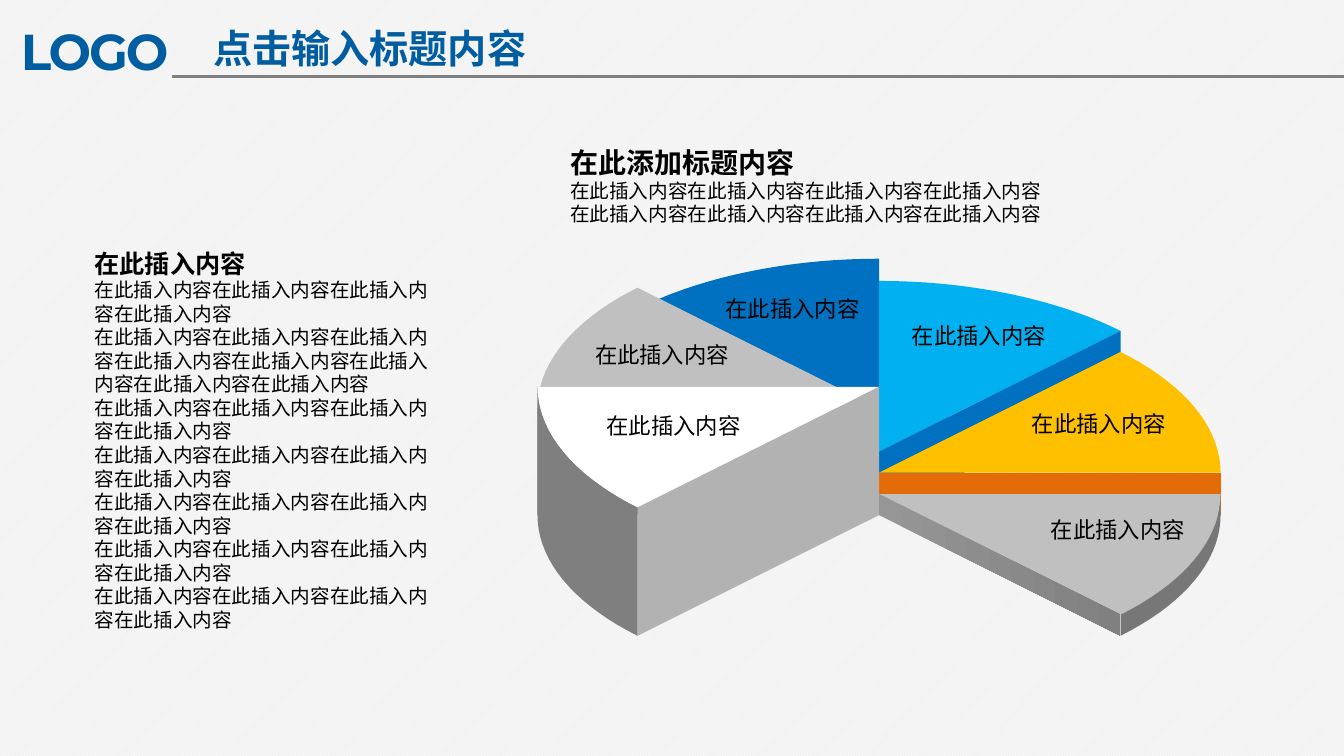
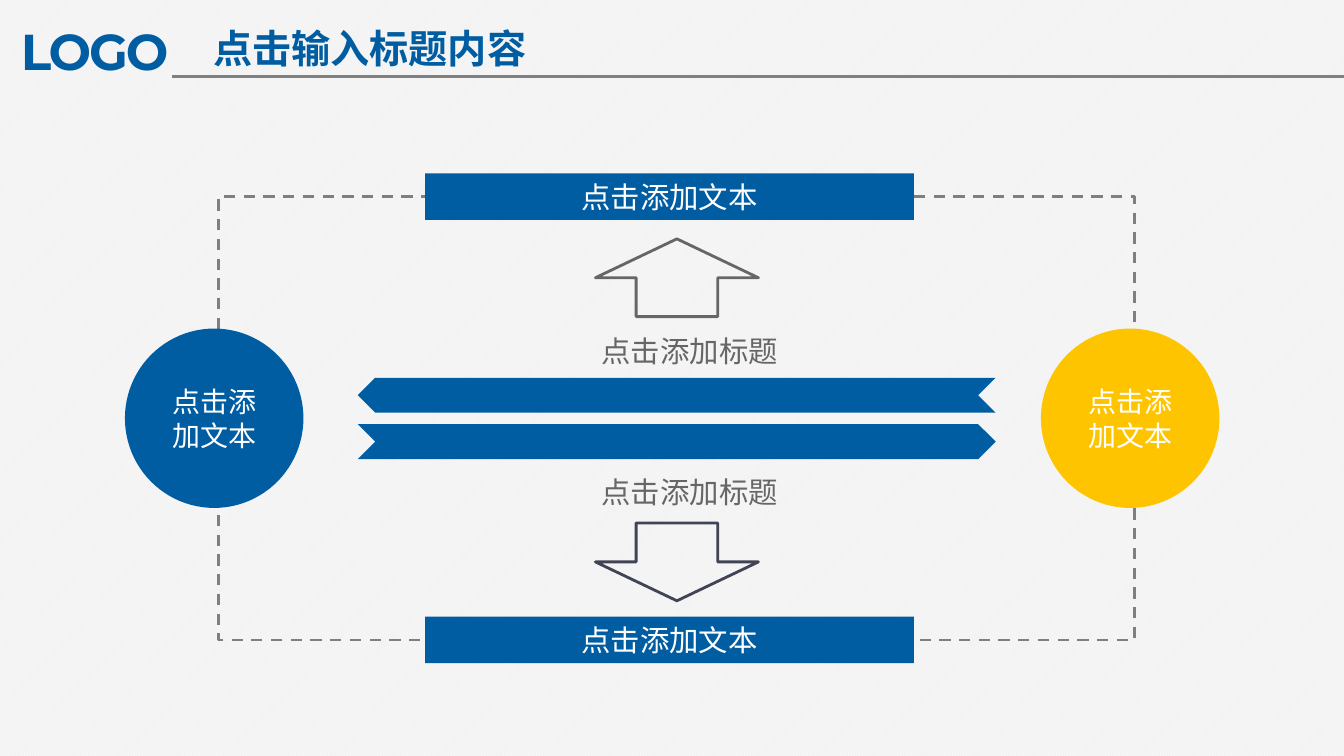
from math import cos, radians, sin

from lxml.etree import SubElement
from pptx import Presentation
from pptx.dml.color import RGBColor
from pptx.enum.dml import MSO_LINE, MSO_PATTERN
from pptx.enum.shapes import MSO_CONNECTOR, MSO_SHAPE
from pptx.enum.text import MSO_ANCHOR, MSO_AUTO_SIZE, PP_ALIGN
from pptx.oxml.ns import qn
from pptx.util import Cm, Pt

BLUE = RGBColor(0x00, 0x5D, 0xA2)
MID = RGBColor(0x00, 0x70, 0xC0)
SKY = RGBColor(0x00, 0xB0, 0xF0)
AMBER = RGBColor(0xFF, 0xC0, 0x00)
GOLD = RGBColor(0xFF, 0xC4, 0x00)
RUST = RGBColor(0xE3, 0x6C, 0x09)
INK = RGBColor(0x41, 0x44, 0x55)
BLACK = RGBColor(0x00, 0x00, 0x00)
WHITE = RGBColor(0xFF, 0xFF, 0xFF)
PAPER = RGBColor(0xF2, 0xF2, 0xF2)
MIST = RGBColor(0xDD, 0xDD, 0xDD)
SILVER = RGBColor(0xC0, 0xC0, 0xC0)
ASH = RGBColor(0xB2, 0xB2, 0xB2)
STEEL = RGBColor(0x96, 0x96, 0x96)
GREY = RGBColor(0x80, 0x80, 0x80)
STONE = RGBColor(0x7F, 0x7F, 0x7F)
SLATE = RGBColor(0x77, 0x77, 0x77)
SMOKE = RGBColor(0x66, 0x66, 0x66)

SANS = "Noto Sans CJK SC"
LATIN = "Montserrat"
LEADING = 1.2

TITLE = "点击输入标题内容"
ITEM = "在此插入内容"
LINE = ITEM * 4
HEAD = ["在此添加标题内容", LINE, LINE]
NOTES = [ITEM, LINE, ITEM * 8] + [LINE] * 5

# Pie: centre x, radii and floor in cm.
MID_X, RAD_X, RAD_Y, FLOOR = 22.16, 8.61, 4.3, 12.98
# Start angle, wall angle, top, face, rim, wall, label centre x, label top.
SLICES = [
    (90, 135, 10.82, MID, None, MIST, 19.98, 7.32),
    (45, 45, 11.38, SKY, None, MID, 24.68, 8),
    (135, 180, 10.29, SILVER, None, (STEEL, GREY), 16.69, 8.48),
    (0, 0, 11.91, AMBER, None, RUST, 27.7, 10.21),
    (180, 225, 9.75, WHITE, STONE, ASH, 16.98, 10.26),
    (315, 315, 12.45, SILVER, SLATE, (STEEL, GREY), 28.18, 12.88),
]

ADD = "点击添加文本"
NAME = "点击添加标题"
CIRCLES = [(3.15, BLUE), (26.24, GOLD)]
NAMES = [8.26, 11.81]
BARS = [4.37, 15.54]
ARROWS = [(MSO_SHAPE.UP_ARROW, 6.02, SMOKE), (MSO_SHAPE.DOWN_ARROW, 13.18, INK)]
RIBBONS = [(9.52, -1), (10.69, 1)]


def put(obj, **values):
    for key, value in values.items():
        setattr(obj, key, value)


def write(frame, lines, sizes, color, align=PP_ALIGN.CENTER, bold=False,
          face=SANS, anchor=MSO_ANCHOR.TOP):
    """Fill a frame; the first size is for the first line, the last for the rest."""
    put(frame, word_wrap=True, auto_size=MSO_AUTO_SIZE.NONE, vertical_anchor=anchor)
    for i, line in enumerate(lines):
        para = frame.paragraphs[0] if i == 0 else frame.add_paragraph()
        size = sizes[min(i, len(sizes) - 1)]
        put(para, alignment=align, space_before=Pt(0), line_spacing=Pt(size * LEADING))
        run = para.add_run()
        run.text = line
        put(run.font, size=Pt(size), bold=bold and i == 0, name=face)
        run.font.color.rgb = color
        SubElement(run._r.get_or_add_rPr(), qn("a:ea"), typeface=face)
    return frame


def label(slide, box, lines, sizes, color, **style):
    area = slide.shapes.add_textbox(*map(Cm, box))
    write(area.text_frame, lines, sizes, color, **style)
    return area


def paint(shape, fill=None, line=None):
    shape.shadow.inherit = False
    if fill is None:
        shape.fill.background()
    elif isinstance(fill, RGBColor):
        shape.fill.solid()
        shape.fill.fore_color.rgb = fill
    else:
        shape.fill.gradient()
        shape.fill.gradient_angle = 0
        for stop, color in zip(shape.fill.gradient_stops, fill):
            stop.color.rgb = color
    if line is None:
        shape.line.fill.background()
    else:
        shape.line.color.rgb = line
        shape.line.width = Pt(2)
    return shape


def draw(slide, kind, box, fill=None, line=None):
    return paint(slide.shapes.add_shape(kind, *map(Cm, box)), fill, line)


def trace(slide, points, fill):
    """Draw a closed outline through points in cm."""
    first, *rest = [(Cm(x), Cm(y)) for x, y in points]
    pen = slide.shapes.build_freeform(*first, scale=1.0)
    pen.add_line_segments(rest, close=True)
    return paint(pen.convert_to_shape(), fill)


def brand(master, slide):
    """Give the master its background, title place, logo text and rule."""
    back = master.background.fill
    back.patterned()
    back.pattern = MSO_PATTERN.LIGHT_UPWARD_DIAGONAL
    back.fore_color.rgb = WHITE
    back.back_color.rgb = PAPER
    put(master.placeholders[0], left=Cm(4.75), top=Cm(0.48),
        width=Cm(9.14), height=Cm(1.45))
    logo = label(slide, (0.2, 0.33, 4.72, 1.88), ["LOGO"], [36], BLUE,
                 align=PP_ALIGN.LEFT, bold=True, face=LATIN)
    put(logo.text_frame, margin_left=Cm(0.33), margin_right=Cm(0.33),
        margin_top=Cm(0.18), margin_bottom=Cm(0.18))
    logo.text_frame.paragraphs[0].runs[0]._r.rPr.set("spc", "-150")
    rule = slide.shapes.add_connector(
        MSO_CONNECTOR.STRAIGHT, Cm(4.34), Cm(1.93), Cm(33.88), Cm(1.93))
    rule.line.color.rgb = GREY
    rule.line.width = Pt(2)
    SubElement(rule.element.spPr, qn("a:effectLst"))
    for num, part in enumerate((logo, rule), 20):
        part.element.xpath(".//p:cNvPr")[0].set("id", str(num))
        master.shapes.element.append(part.element)


def start(deck, layout):
    slide = deck.slides.add_slide(deck.slide_layouts[layout])
    write(slide.shapes.title.text_frame, [TITLE], [28], BLUE, bold=True,
          anchor=MSO_ANCHOR.MIDDLE)
    return slide


def rim(angle, top):
    turn = radians(angle)
    return MID_X + RAD_X * cos(turn), top - RAD_Y * sin(turn)


def pie(slide):
    for begin, edge, top, face, band, wall, _, _ in SLICES:
        arc = [rim(begin + step * 2.5, top) for step in range(19)]
        drop = FLOOR - top
        trace(slide, [(MID_X, top)] + arc, face)
        if band:
            trace(slide, arc + [(x, y + drop) for x, y in reversed(arc)], band)
        x, y = rim(edge, top)
        trace(slide, [(MID_X, top), (x, y), (x, y + drop), (MID_X, FLOOR)], wall)
    for *_, x, y in SLICES:
        label(slide, (x - 2.1, y, 4.2, 0.94), [ITEM], [16], BLACK)


def list_notes(slide):
    body = slide.placeholders[1]
    put(body, left=Cm(2.13), top=Cm(6.12), width=Cm(9.35), height=Cm(10.59))
    frame = write(body.text_frame, NOTES, [18, 14], BLACK, align=PP_ALIGN.LEFT, bold=True)
    for para in frame.paragraphs:
        props = para._p.get_or_add_pPr()
        props.set("marL", "0")
        props.set("indent", "0")
        SubElement(props, qn("a:buNone"))


def cycle(slide):
    frame = draw(slide, MSO_SHAPE.RECTANGLE, (5.51, 4.95, 23.09, 11.18), line=STONE)
    frame.line.dash_style = MSO_LINE.DASH
    nodes = [(MSO_SHAPE.OVAL, (x, 8.28, 4.5, 4.52), color, 20) for x, color in CIRCLES]
    nodes += [(MSO_SHAPE.RECTANGLE, (10.72, y, 12.32, 1.17), BLUE, 21) for y in BARS]
    for kind, box, color, size in nodes:
        node = draw(slide, kind, box, color)
        write(node.text_frame, [ADD], [size], WHITE, anchor=MSO_ANCHOR.MIDDLE)
    for y in NAMES:
        label(slide, (14.86, y, 5.05, 1.17), [NAME], [21], SMOKE)
    for kind, y, color in ARROWS:
        draw(slide, kind, (15.01, y, 4.11, 1.96), line=color)
    mid, half, tip = 17.06, 8.04, 0.44
    for y, way in RIBBONS:
        tail, nose = mid - way * half, mid + way * half
        notch = way * tip
        trace(slide, [(tail, y), (nose - notch, y), (nose, y + tip),
                      (nose - notch, y + 2 * tip), (tail, y + 2 * tip),
                      (tail + notch, y + tip)], BLUE)


def main():
    deck = Presentation()
    put(deck, slide_width=Cm(33.88), slide_height=Cm(19.05))
    first = start(deck, 1)
    brand(deck.slide_master, first)
    pie(first)
    label(first, (14.12, 3.53, 12.47, 2.31), HEAD, [20, 14], BLACK,
          align=PP_ALIGN.LEFT, bold=True)
    list_notes(first)
    cycle(start(deck, 5))
    deck.save("out.pptx")


if __name__ == "__main__":
    main()
